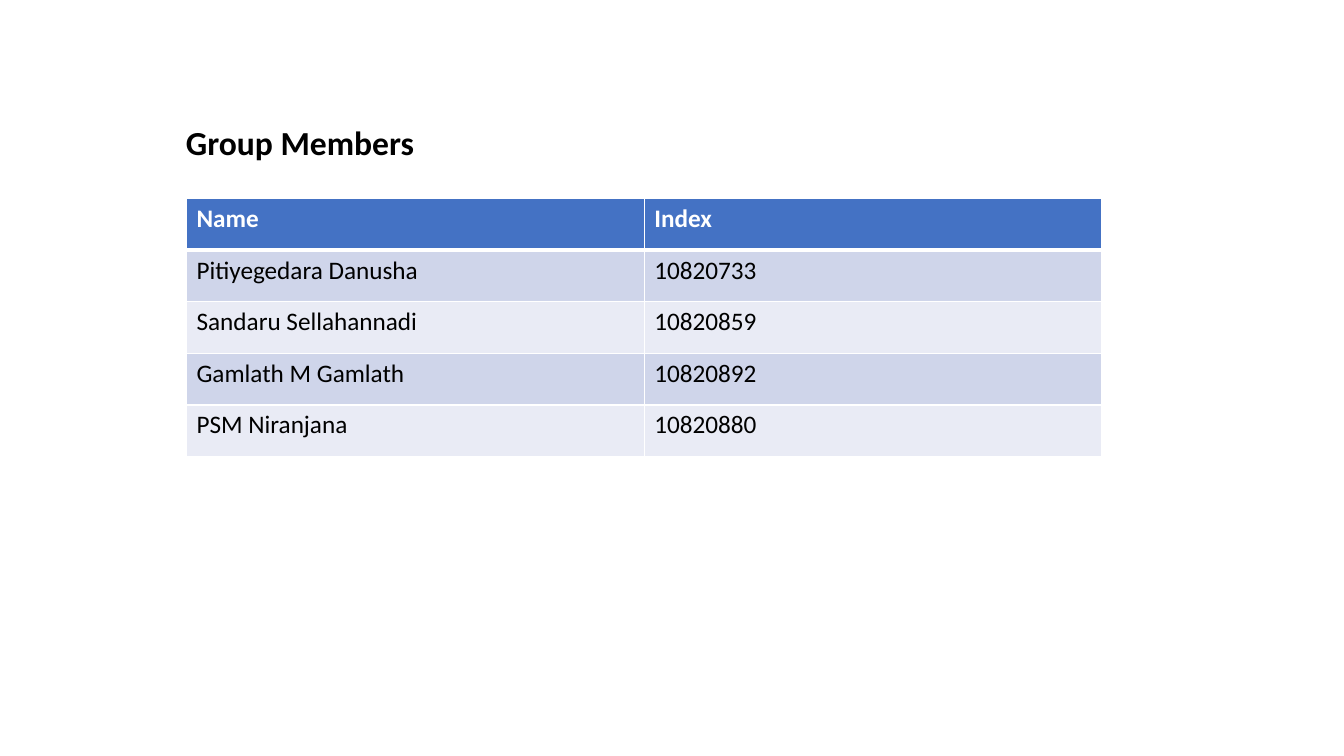
from lxml import etree
from pptx import Presentation
from pptx.dml.color import RGBColor
from pptx.enum.text import MSO_ANCHOR, PP_ALIGN
from pptx.oxml.ns import qn
from pptx.util import Inches, Pt

CENTER = PP_ALIGN.CENTER
BOTTOM = MSO_ANCHOR.BOTTOM
FONT = "Calibri"
COLORS = {
    "text": "000000",
    "header": "4472C4",
    "header_text": "FFFFFF",
    "odd_row": "CFD5EA",
    "even_row": "E9EBF5",
    "border": "FFFFFF",
}
MEMBERS = [
    ("Name", "Index"),
    ("Pitiyegedara Danusha", "10820733"),
    ("Sandaru Sellahannadi", "10820859"),
    ("Gamlath M Gamlath", "10820892"),
    ("PSM Niranjana", "10820880"),
]


def style_font(paragraph, size, color, bold):
    font = paragraph.font
    font.name = FONT
    font.size = Pt(size)
    font.bold = bold
    font.color.rgb = RGBColor.from_string(COLORS[color])


def add_border(cell, side, width):
    line = etree.SubElement(cell._tc.get_or_add_tcPr(), qn(f"a:{side}"), w=str(Pt(width)))
    fill = etree.SubElement(line, qn("a:solidFill"))
    etree.SubElement(fill, qn("a:srgbClr"), val=COLORS["border"])


prs = Presentation()
prs.slide_width = Inches(13.33)
prs.slide_height = Inches(7.5)
slide = prs.slides.add_slide(prs.slide_layouts[6])

# Heading
heading = slide.shapes.add_textbox(Inches(1.67), Inches(1.23), Inches(2.61), Inches(0.43))
heading_frame = heading.text_frame
heading_frame.word_wrap = True
heading_frame.vertical_anchor = BOTTOM
heading_line = heading_frame.paragraphs[0]
heading_line.text = "Group Members"
heading_line.alignment = CENTER
heading_line.line_spacing = 0.9
style_font(heading_line, 24, "text", True)

# Member table
members = slide.shapes.add_table(
    len(MEMBERS), 2, Inches(1.85), Inches(1.97), Inches(9.08), Inches(2.56)
).table
for r, member in enumerate(MEMBERS):
    is_header = r == 0
    row_fill = "header" if is_header else "odd_row" if r % 2 else "even_row"
    # The rule below the header is thicker than the others
    borders = {"lnL": 1, "lnR": 1, "lnT": 3 if r == 1 else 1, "lnB": 3 if is_header else 1}
    for c, value in enumerate(member):
        cell = members.cell(r, c)
        cell.text = value
        style_font(cell.text_frame.paragraphs[0], 18,
                   "header_text" if is_header else "text", is_header)
        for side, width in borders.items():
            add_border(cell, side, width)
        cell.fill.solid()
        cell.fill.fore_color.rgb = RGBColor.from_string(COLORS[row_fill])

prs.save("out.pptx")
